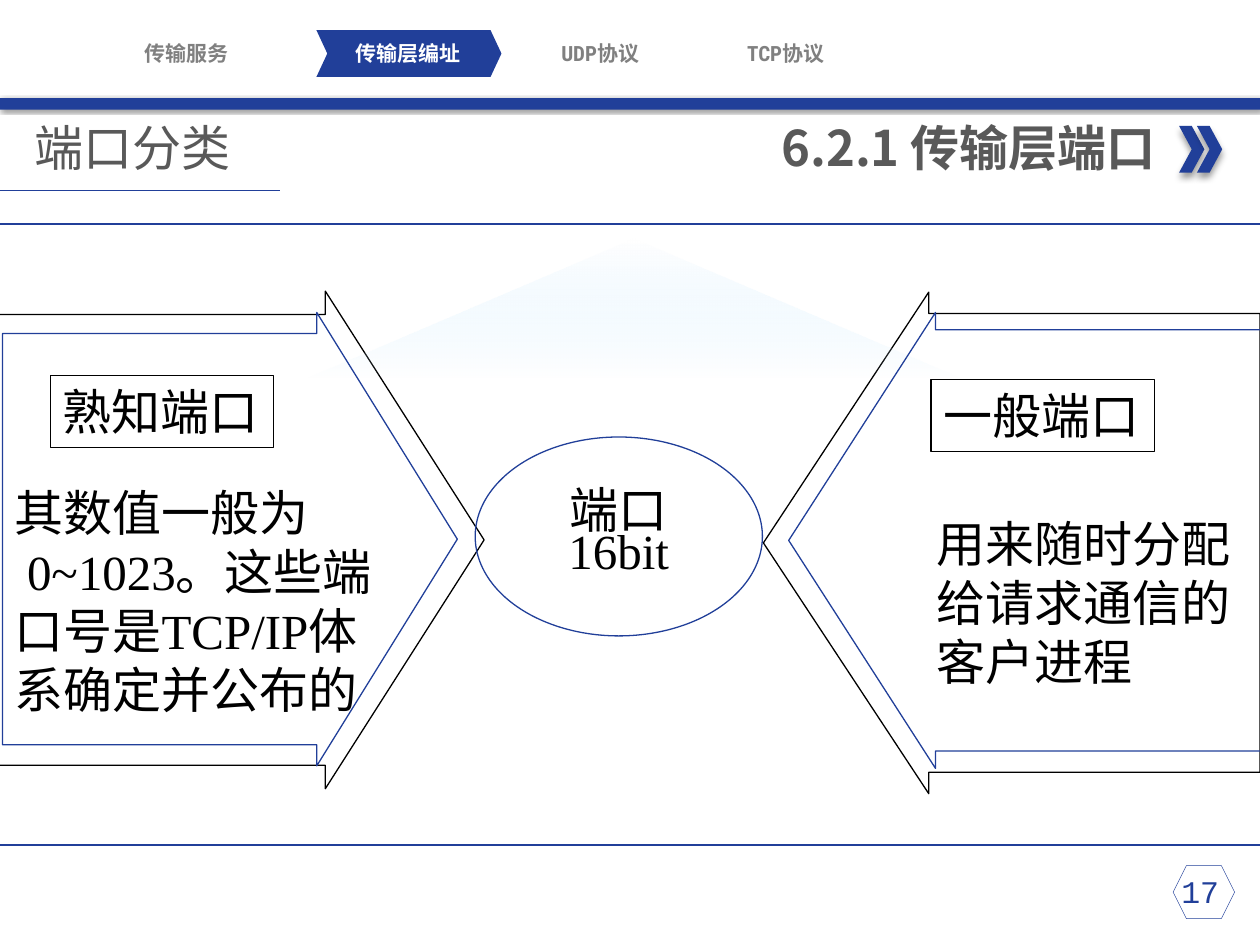
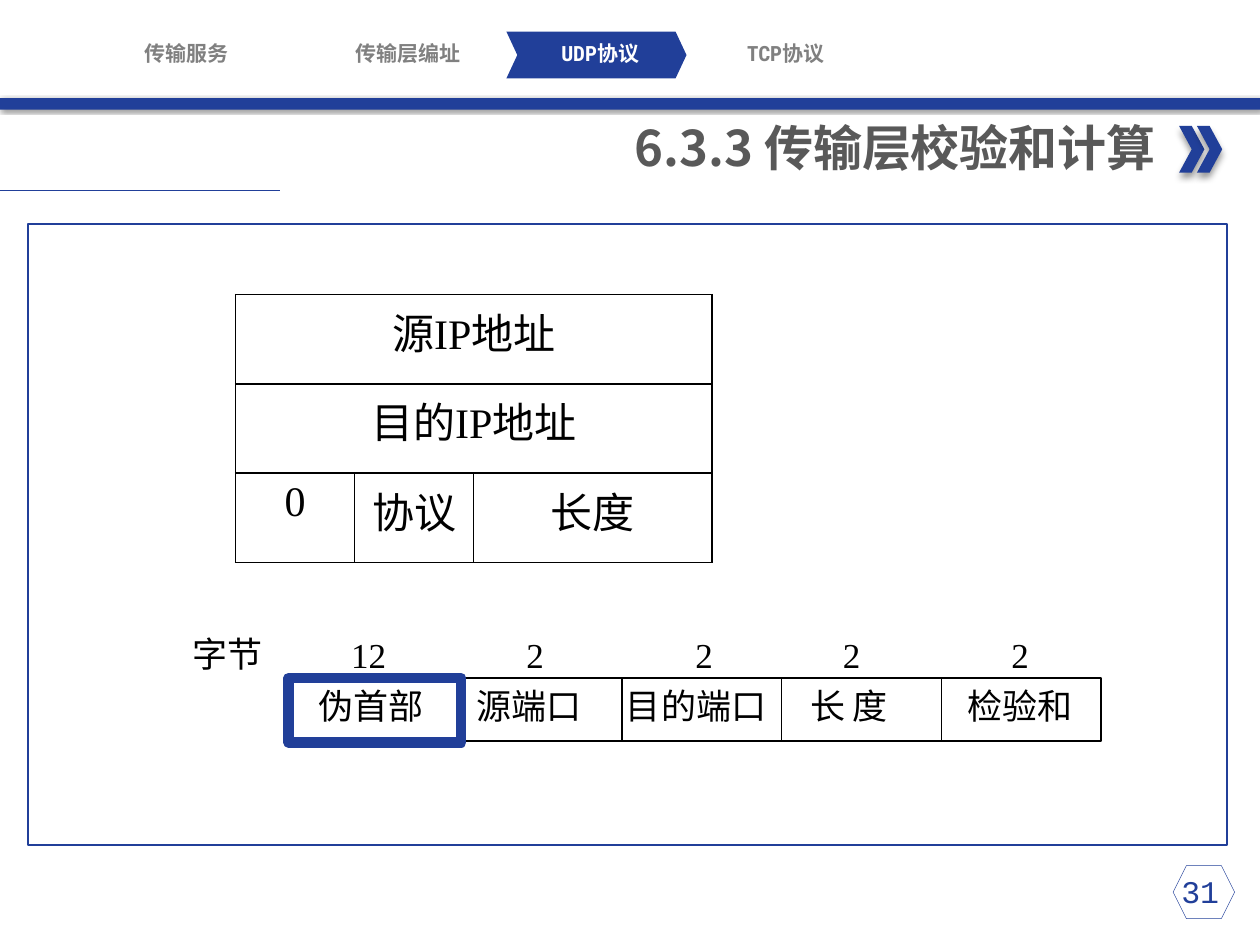
from lxml import etree
from pptx import Presentation
from pptx.dml.color import RGBColor
from pptx.enum.shapes import MSO_CONNECTOR, MSO_SHAPE
from pptx.enum.text import MSO_ANCHOR, PP_ALIGN
from pptx.oxml import parse_xml
from pptx.oxml.ns import nsdecls, qn
from pptx.util import Cm, Pt

RECTANGLE, CHEVRON, HEXAGON = MSO_SHAPE.RECTANGLE, MSO_SHAPE.CHEVRON, MSO_SHAPE.HEXAGON
RIGHT_ARROW, LEFT_ARROW = MSO_SHAPE.RIGHT_ARROW, MSO_SHAPE.LEFT_ARROW
TRIANGLE, ELLIPSE = MSO_SHAPE.ISOSCELES_TRIANGLE, MSO_SHAPE.OVAL
STRAIGHT = MSO_CONNECTOR.STRAIGHT
LEFT, CENTER, RIGHT = PP_ALIGN.LEFT, PP_ALIGN.CENTER, PP_ALIGN.RIGHT
TOP, MIDDLE = MSO_ANCHOR.TOP, MSO_ANCHOR.MIDDLE

COLOURS = {
    "blue": "213F99",
    "title": "595959",
    "tab": "808080",
    "white": "FFFFFF",
    "black": "000000",
    "sky": "CCECFF",
}
SERIF, SANS = "Times New Roman", "Noto Sans CJK SC"
TABS, MONO = "Roboto Condensed", "Courier New"


def draw(page, kind, box, fill=None, line=None, weight=0.75, adjust=(), shadow=None):
    """Add a preset shape; box is in cm, shadow is (blur pt, distance pt, degrees)."""
    shape = page.shapes.add_shape(kind, *map(Cm, box))
    shape.shadow.inherit = False
    for index, value in enumerate(adjust):
        shape.adjustments[index] = value
    if fill:
        shape.fill.solid()
        shape.fill.fore_color.rgb = RGBColor.from_string(COLOURS[fill])
    else:
        shape.fill.background()
    if line:
        shape.line.color.rgb = RGBColor.from_string(COLOURS[line])
        shape.line.width = Pt(weight)
    else:
        shape.line.fill.background()
    if shadow:
        blur, distance, degrees = shadow
        effects = shape._element.spPr.find(qn("a:effectLst"))
        effects.append(parse_xml(
            f'<a:outerShdw {nsdecls("a")} blurRad="{Pt(blur)}" dist="{Pt(distance)}" '
            f'dir="{degrees * 60000}" rotWithShape="0"><a:srgbClr val="{COLOURS["black"]}">'
            '<a:alpha val="40000"/></a:srgbClr></a:outerShdw>'))
    return shape


def write(holder, text, size, font=SERIF, colour="black", align=LEFT, anchor=TOP,
          bold=False, wrap=False, spacing=None):
    """Fill a shape, text box or cell; each line of text is a paragraph."""
    frame = holder.text_frame
    frame.text = text
    frame.word_wrap = wrap
    frame.vertical_anchor = anchor
    for para in frame.paragraphs:
        para.alignment = align
        para.line_spacing = spacing
        para.font.size = Pt(size)
        para.font.bold = bold
        para.font.name = font
        para.font.color.rgb = RGBColor.from_string(COLOURS[colour])
        defaults = para._p.pPr.find(qn("a:defRPr"))
        etree.SubElement(defaults, qn("a:ea"), typeface=SANS)
    return frame


deck = Presentation()
deck.slide_width, deck.slide_height = Cm(25.4), Cm(19.05)

# Navigation, title and page number shared by all pages
tabs = [("传输服务", 1.93), ("传输层编址", 6.38), ("UDP协议", 10.26), ("TCP协议", 14)]
page_settings = [
    ("6.2.1 传输层端口", "17", "传输层编址", (6.38, 0.61, 3.73, 0.94)),
    ("6.3.3 传输层校验和计算", "31", "UDP协议", (10.21, 0.64, 3.63, 0.94)),
]
lines = []
for title, number, active_tab, marker_box in page_settings:
    page = deck.slides.add_slide(deck.slide_layouts[5])
    heading = page.shapes.title
    heading.left, heading.top, heading.width, heading.height = map(Cm, (1.93, 2.24, 21.62, 1.45))
    write(heading, title, 28, SANS, "title", RIGHT, bold=True, wrap=True)

    draw(page, HEXAGON, (23.65, 17.45, 1.24, 1.07), line="blue", weight=0.25)
    draw(page, RECTANGLE, (0, 1.98, 25.4, 0.23), fill="blue", shadow=(2, 1, 45))
    for x in (23.77, 24.13):
        draw(page, CHEVRON, (x, 2.54, 0.51, 0.94), fill="blue", shadow=(4, 3, 90))
    number_box = page.shapes.add_textbox(*map(Cm, (23.09, 17.45, 2.21, 1.02)))
    write(number_box, number, 18, MONO, "blue", CENTER, wrap=True)
    lines.append((page, 0, 3.84, 5.64, 3.84, "blue", 0.5))

    draw(page, CHEVRON, marker_box, fill="blue", adjust=[0.234])
    for name, x in tabs:
        tab_box = page.shapes.add_textbox(*map(Cm, (x, 0.81, 3.68, 0.51)))
        colour = "white" if name == active_tab else "tab"
        frame = write(tab_box, name, 12, TABS, colour, CENTER, MIDDLE, bold=True, wrap=True)
        frame.margin_left = frame.margin_right = frame.margin_top = frame.margin_bottom = 0

ports_page, checksum_page = deck.slides

# Port classes
subtitle = ports_page.shapes.add_textbox(*map(Cm, (0, 2.34, 6.58, 1.24)))
write(subtitle, "端口分类", 28, SANS, "title", anchor=MIDDLE, wrap=True).margin_left = Cm(0.7)

draw(ports_page, RIGHT_ARROW, (-0.15, 5.87, 9.91, 10.03), line="black", adjust=[0.906, 0.323])
draw(ports_page, LEFT_ARROW, (15.39, 5.89, 10.01, 10.11), line="black", adjust=[0.915, 0.333])

glow = draw(ports_page, TRIANGLE, (6.17, 4.8, 13.21, 2.82))
no_fill = glow._element.spPr.find(qn("a:noFill"))
no_fill.getparent().replace(no_fill, parse_xml(
    f'<a:gradFill {nsdecls("a")} rotWithShape="1"><a:gsLst>'
    f'<a:gs pos="0"><a:srgbClr val="{COLOURS["white"]}"><a:alpha val="80000"/></a:srgbClr></a:gs>'
    f'<a:gs pos="100000"><a:srgbClr val="{COLOURS["sky"]}"><a:alpha val="0"/></a:srgbClr></a:gs>'
    '</a:gsLst><a:lin ang="5400000" scaled="1"/></a:gradFill>'))

port_classes = [
    (RIGHT_ARROW, (0.05, 6.3, 9.17, 9.14), [0.907, 0.31],
     "其数值一般为\n 0~1023。这些端\n口号是TCP/IP体\n系确定并公布的",
     "熟知端口", (1.02, 7.57, 4.5, 1.45)),
    (LEFT_ARROW, (15.9, 6.3, 9.68, 9.19), [0.924, 0.322],
     "用来随时分配\n给请求通信的\n客户进程",
     "一般端口", (18.77, 7.65, 4.5, 1.45)),
]
for kind, arrow_box, adjust, description, label, label_box in port_classes:
    arrow = draw(ports_page, kind, arrow_box, line="blue", adjust=adjust)
    write(arrow, description, 28, anchor=MIDDLE).margin_top = Cm(2.6)
    write(draw(ports_page, RECTANGLE, label_box, line="black"), label, 28)

port = draw(ports_page, ELLIPSE, (9.58, 8.81, 5.79, 4.01), line="blue")
write(port, "端口\n16bit", 28, align=CENTER, anchor=MIDDLE, spacing=0.7)
draw(ports_page, RECTANGLE, (-0.41, 4.52, 26.19, 12.52), line="blue", weight=1)

# UDP header fields: name, left, width, bytes, left of bytes
record_left, record_top, field_width, field_height = 9.32, 13.67, 3.22, 1.27
draw(checksum_page, RECTANGLE, (record_left, record_top, 4 * field_width, field_height),
     line="black", weight=1.5)
for index in range(1, 4):
    x = record_left + index * field_width
    lines.append((checksum_page, x, record_top, x, record_top + field_height, "black", 0.75))

fields = [
    ("伪首部", 6.17, 2.64, "12", 6.83),
    ("源端口", 9.35, 2.64, "2", 10.36),
    ("目的端口", 12.37, 3.35, "2", 13.77),
    ("长 度", 16.08, 2.36, "2", 16.74),
    ("检验和", 19.25, 2.64, "2", 20.14),
]
captions = [("字节", 3.63, 12.62, 1.93)]
for name, name_left, name_width, size, size_left in fields:
    captions.append((name, name_left, record_top, name_width))
    captions.append((size, size_left, 12.64, 0.51 + 0.35 * len(size)))
for text, x, y, width in captions:
    caption = checksum_page.shapes.add_textbox(*map(Cm, (x, y, width, 1.1)))
    write(caption, text, 20)
draw(checksum_page, RECTANGLE, (5.82, record_top, 3.48, 1.3), line="blue", weight=6)

# Pseudo header
rows = [["源IP地址"], ["目的IP地址"], ["0", "协议", "长度"]]
column_widths = [2.4, 2.4, 4.8]
table = checksum_page.shapes.add_table(3, 3, *map(Cm, (4.75, 5.94, 9.6, 5.4))).table
for column, width in zip(table.columns, column_widths):
    column.width = Cm(width)
for row_index, texts in enumerate(rows):
    table.rows[row_index].height = Cm(1.8)
    if len(texts) == 1:
        table.cell(row_index, 0).merge(table.cell(row_index, 2))
    for column_index, text in enumerate(texts):
        write(table.cell(row_index, column_index), text, 24, align=CENTER, wrap=True)
for cell in table.iter_cells():
    properties = cell._tc.get_or_add_tcPr()
    for side in ("lnL", "lnR", "lnT", "lnB"):
        properties.append(parse_xml(
            f'<a:{side} {nsdecls("a")} w="{Pt(1)}"><a:solidFill>'
            f'<a:srgbClr val="{COLOURS["black"]}"/></a:solidFill></a:{side}>'))
    cell.fill.background()

draw(checksum_page, RECTANGLE, (0.56, 4.52, 24.18, 12.52), line="blue", weight=1)

# Title underlines and field dividers
for page, x1, y1, x2, y2, colour, weight in lines:
    rule = page.shapes.add_connector(STRAIGHT, *map(Cm, (x1, y1, x2, y2)))
    rule.line.color.rgb = RGBColor.from_string(COLOURS[colour])
    rule.line.width = Pt(weight)
    etree.SubElement(rule._element.spPr, qn("a:effectLst"))

deck.save("out.pptx")
